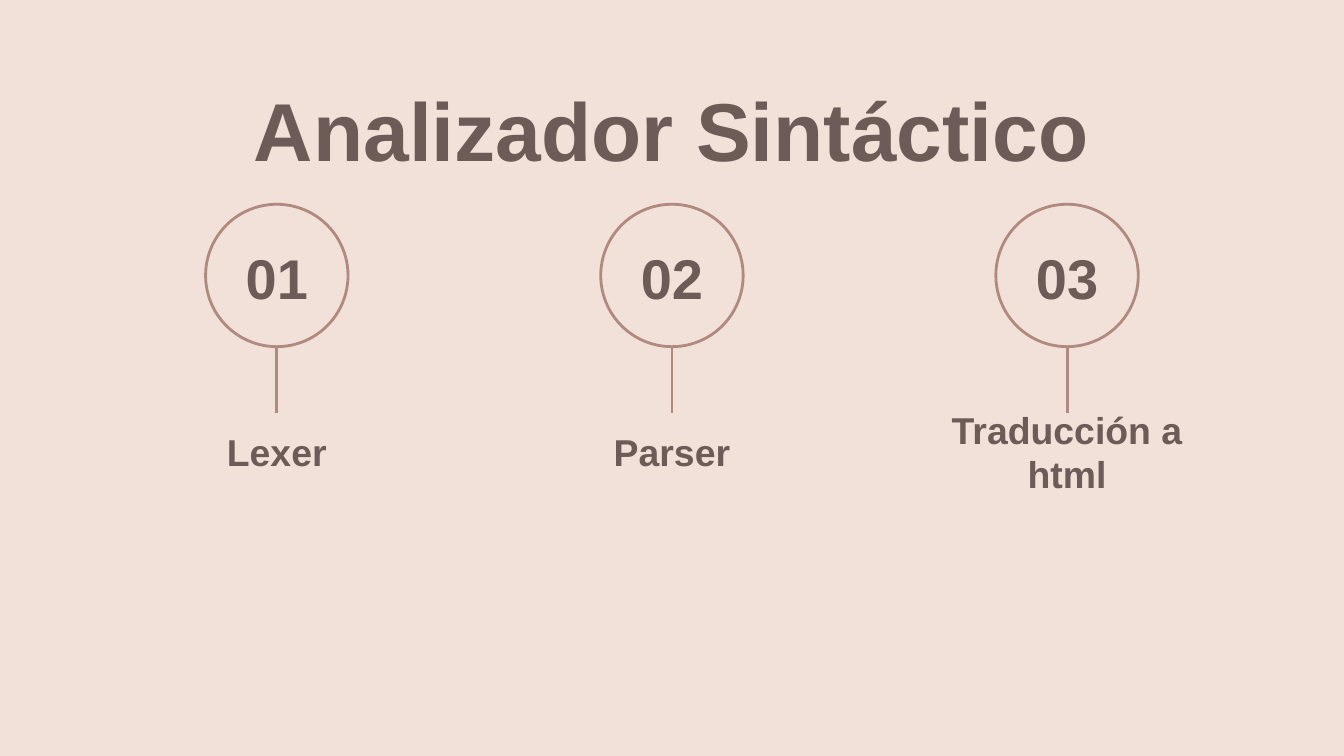
from pptx import Presentation
from pptx.dml.color import RGBColor
from pptx.enum import shapes, text
from pptx.oxml.ns import qn
from pptx.util import Inches, Pt
from lxml import etree

COLORS = {"background": "F2E1D8", "text": "6D5B57", "line": "B08980"}

presentation = Presentation()
presentation.slide_width = Inches(10)
presentation.slide_height = Inches(10) * 9 // 16
slide = presentation.slides.add_slide(presentation.slide_layouts[6])
slide.background.fill.solid()
slide.background.fill.fore_color.rgb = RGBColor.from_string(COLORS["background"])


def add_heading(content, center, top, width, height, size, anchor):
    box = slide.shapes.add_textbox(
        Inches(center - width / 2), Inches(top), Inches(width), Inches(height))
    frame = box.text_frame
    frame.text = content
    frame.word_wrap = True
    frame.vertical_anchor = anchor
    frame.margin_left = frame.margin_right = Inches(0.1)
    frame.margin_top = frame.margin_bottom = Inches(0.1)
    paragraph = frame.paragraphs[0]
    paragraph.alignment = text.PP_ALIGN.CENTER
    font = paragraph.runs[0].font
    font.name = "Arial"
    font.size = Pt(size)
    font.bold = True
    font.color.rgb = RGBColor.from_string(COLORS["text"])
    return box


def style_line(line):
    line.color.rgb = RGBColor.from_string(COLORS["line"])
    line.width = Pt(1.5)


add_heading("Analizador Sintáctico", 5, 0.49, 8.43, 0.63, 44, text.MSO_ANCHOR.TOP)

middle = text.MSO_ANCHOR.MIDDLE
diameter = 1.06
circle_top = 1.52
label_top = 3.07
column_width = 2.56
column_step = 2.94

for index, name in enumerate(["Lexer", "Parser", "Traducción a html"]):
    center = 5 + (index - 1) * column_step
    label = add_heading(name, center, label_top, column_width, 0.58, 20, middle)

    circle = slide.shapes.add_shape(
        shapes.MSO_SHAPE.OVAL, Inches(center - diameter / 2), Inches(circle_top),
        Inches(diameter), Inches(diameter))
    circle.shadow.inherit = False
    circle.fill.background()
    style_line(circle.line)

    stem = slide.shapes.add_connector(
        shapes.MSO_CONNECTOR.STRAIGHT, Inches(center), Inches(circle_top + diameter),
        Inches(center), Inches(label_top))
    stem.end_connect(label, 0)
    style_line(stem.line)
    etree.SubElement(stem._element.spPr, qn("a:effectLst"))

    add_heading(f"{index + 1:02d}", center, 1.74, column_width, 0.65, 30, middle)

presentation.save("out.pptx")
